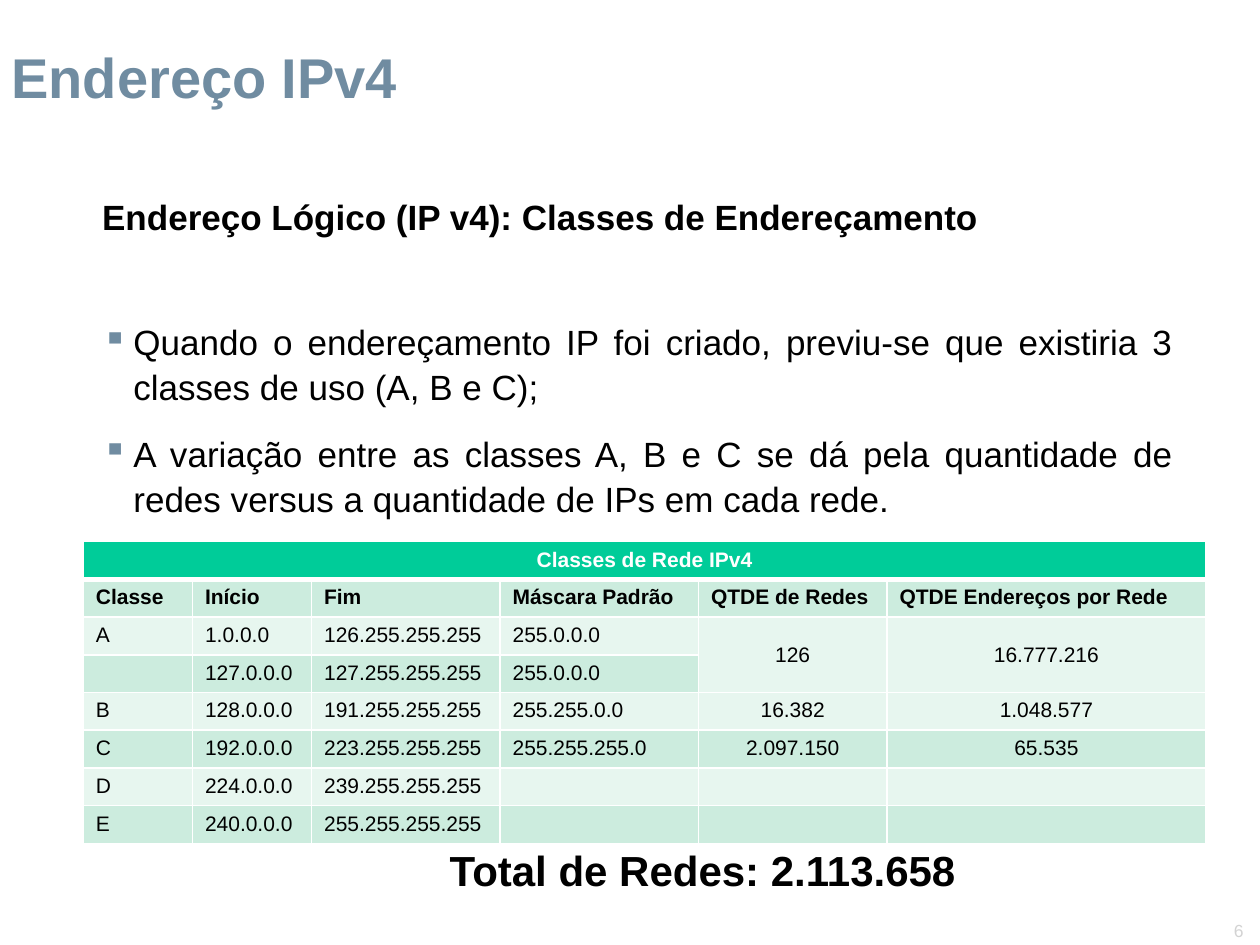
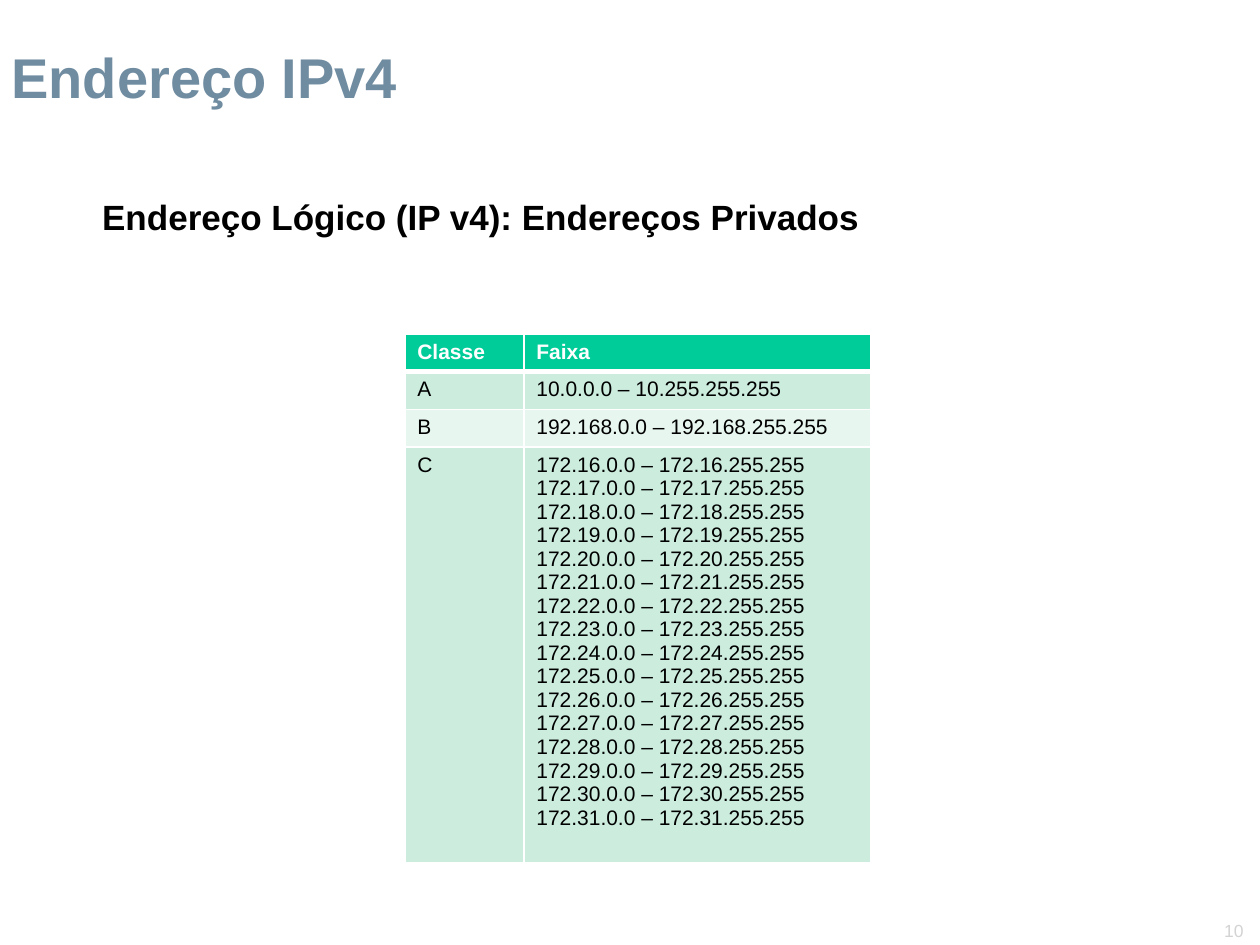
"""Build two slides on IPv4 address classes and private address ranges."""
from lxml.etree import SubElement
from pptx import Presentation
from pptx.dml.color import RGBColor
from pptx.enum.text import MSO_ANCHOR, MSO_AUTO_SIZE, PP_ALIGN
from pptx.oxml.ns import qn
from pptx.util import Cm, Pt

SLATE = RGBColor(0x70, 0x8C, 0xA1)
BLACK = RGBColor(0, 0, 0)
WHITE = RGBColor(0xFF, 0xFF, 0xFF)
GRAY = RGBColor(0xD3, 0xD3, 0xD3)
GREEN = RGBColor(0, 0xCC, 0x99)
MINT = RGBColor(0xCC, 0xEC, 0xDE)
PALE_MINT = RGBColor(0xE7, 0xF6, 0xEF)
ROW = 0.76


def write(paragraph, text, size, color=BLACK, bold=False, align=PP_ALIGN.LEFT, spacing=1.0):
    paragraph.text = text
    paragraph.alignment = align
    paragraph.line_spacing = spacing
    font = paragraph.font
    font.name, font.size, font.bold = "Arial", Pt(size), bold
    font.color.rgb = color


def add_grid(slide, rows, left, top, widths, heights):
    grid = slide.shapes.add_table(len(rows), len(widths), Cm(left), Cm(top),
                                  Cm(sum(widths)), Cm(sum(heights))).table
    for column, width in zip(grid.columns, widths):
        column.width = Cm(width)
    for r, (values, height) in enumerate(zip(rows, heights)):
        grid.rows[r].height = Cm(height)
        for c, value in enumerate(values):
            cell = grid.cell(r, c)
            cell.text = value
            for paragraph in cell.text_frame.paragraphs:
                write(paragraph, paragraph.text, 12, BLACK if r else WHITE, r == 0)
            for side in ("lnL", "lnR", "lnT", "lnB"):
                thick = (r, side) in ((0, "lnB"), (1, "lnT"))
                line = SubElement(cell._tc.get_or_add_tcPr(), qn(f"a:{side}"),
                                  w=str(Pt(3 if thick else 1)))
                SubElement(SubElement(line, qn("a:solidFill")), qn("a:srgbClr"), val=str(WHITE))
            cell.fill.solid()
            cell.fill.fore_color.rgb = (MINT if r % 2 else PALE_MINT) if r else GREEN
    return grid


deck = Presentation()
deck.slide_width, deck.slide_height = Cm(25.4), Cm(19.05)

slides, bodies = [], []
for number, topic in (("6", "Classes de Endereçamento"), ("10", "Endereços Privados")):
    slide = deck.slides.add_slide(deck.slide_layouts[5])
    title = slide.shapes.title
    title.left, title.top, title.width, title.height = Cm(0), Cm(0), Cm(22.63), Cm(2.34)
    body = slide.shapes.add_textbox(Cm(1.83), Cm(3.94), Cm(22.05), Cm(7.6))
    page = slide.shapes.add_textbox(Cm(23.24), Cm(18.42), Cm(2.06), Cm(0.66))
    for box in (title, body, page):
        frame = box.text_frame
        frame.word_wrap = box is not page
        frame.auto_size = MSO_AUTO_SIZE.NONE
        frame.vertical_anchor = MSO_ANCHOR.TOP if box is body else MSO_ANCHOR.BOTTOM
        frame.margin_left = frame.margin_right = Cm(0.23)
        frame.margin_top = frame.margin_bottom = Cm(0.1)
    write(title.text_frame.paragraphs[0], "Endereço IPv4", 32, SLATE, True, spacing=0.9)
    write(body.text_frame.paragraphs[0], f"Endereço Lógico (IP v4): {topic}", 20,
          bold=True, align=PP_ALIGN.JUSTIFY, spacing=0.9)
    write(page.text_frame.paragraphs[0], number, 10, GRAY, align=PP_ALIGN.RIGHT)
    slides.append(slide)
    bodies.append(body.text_frame)

classes_slide, private_slide = slides

for statement, gap in (
    ("Quando o endereçamento IP foi criado, previu-se que existiria 3 classes de uso (A, B e C);", 45.5),
    ("A variação entre as classes A, B e C se dá pela quantidade de redes versus "
     "a quantidade de IPs em cada rede.", 12.5),
):
    bullet = bodies[0].add_paragraph()
    write(bullet, statement, 20, align=PP_ALIGN.JUSTIFY, spacing=1.07)
    bullet.space_before = Pt(gap)
    properties = bullet._p.get_or_add_pPr()
    properties.set("marL", str(Cm(0.63)))
    properties.set("indent", str(-Cm(0.63)))
    mark_color = properties.makeelement(qn("a:buClr"))
    SubElement(mark_color, qn("a:srgbClr"), val=str(SLATE))
    mark = properties.makeelement(qn("a:buChar"), {"char": "▪"})
    defaults = properties.find(qn("a:defRPr"))
    defaults.addprevious(mark_color)
    defaults.addprevious(mark)

network_classes = [
    ("Classes de Rede IPv4", "", "", "", "", ""),
    ("Classe", "Início", "Fim", "Máscara Padrão", "QTDE de Redes", "QTDE Endereços por Rede"),
    ("A", "1.0.0.0", "126.255.255.255", "255.0.0.0", "126", "16.777.216"),
    ("", "127.0.0.0", "127.255.255.255", "255.0.0.0", "", ""),
    ("B", "128.0.0.0", "191.255.255.255", "255.255.0.0", "16.382", "1.048.577"),
    ("C", "192.0.0.0", "223.255.255.255", "255.255.255.0", "2.097.150", "65.535"),
    ("D", "224.0.0.0", "239.255.255.255", "", "", ""),
    ("E", "240.0.0.0", "255.255.255.255", "", "", ""),
]
classes = add_grid(classes_slide, network_classes, 1.68, 10.92,
                   (2.2, 2.4, 3.8, 4.0, 3.8, 6.43), [ROW] * len(network_classes))
classes.cell(0, 0).merge(classes.cell(0, 5))
classes.cell(0, 0).text_frame.paragraphs[0].alignment = PP_ALIGN.CENTER
for c in range(6):
    classes.cell(1, c).text_frame.paragraphs[0].font.bold = True
for c in (4, 5):
    classes.cell(2, c).merge(classes.cell(3, c))
    classes.cell(2, c).vertical_anchor = MSO_ANCHOR.MIDDLE
    for r in range(2, len(network_classes)):
        classes.cell(r, c).text_frame.paragraphs[0].alignment = PP_ALIGN.CENTER

total = classes_slide.shapes.add_textbox(Cm(7.7), Cm(17.02), Cm(12.93), Cm(1.17)).text_frame
total.word_wrap = True
write(total.paragraphs[0], "Total de Redes: 2.113.658", 24, bold=True,
      align=PP_ALIGN.CENTER, spacing=0.9)

private_ranges = [
    ("Classe", "Faixa"),
    ("A", "10.0.0.0 – 10.255.255.255"),
    ("B", "192.168.0.0 – 192.168.255.255"),
    ("C", "\n".join(f"172.{n}.0.0 – 172.{n}.255.255" for n in range(16, 32))),
]
add_grid(private_slide, private_ranges, 8.16, 6.73, (2.4, 7.0), (ROW, ROW, ROW, 8.38))

deck.save("out.pptx")
